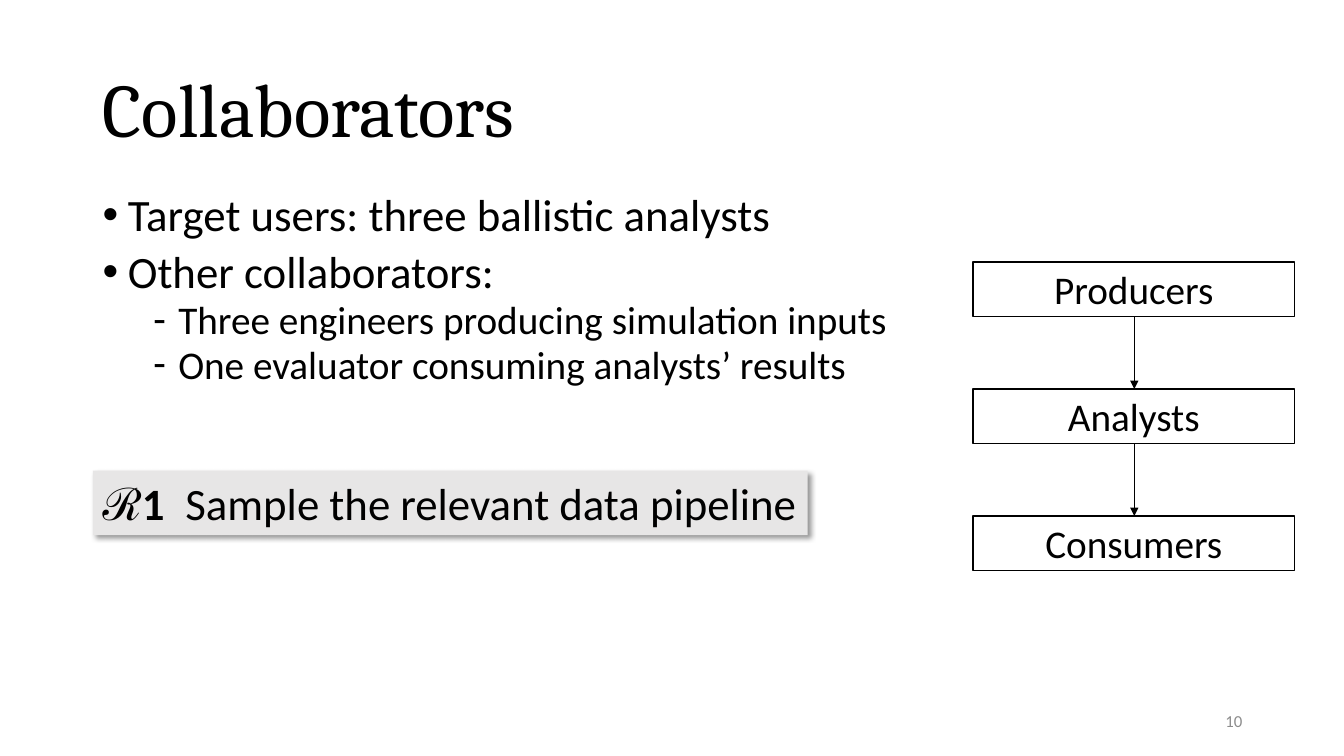
from lxml import etree
from pptx import Presentation
from pptx import util as u
from pptx.dml.color import RGBColor
from pptx.enum import shapes, text
from pptx.oxml import ns

BLACK = RGBColor(0x00, 0x00, 0x00)
WHITE = RGBColor(0xFF, 0xFF, 0xFF)
GRAY = RGBColor(0x8C, 0x8C, 0x8C)
PANEL = RGBColor(0xE7, 0xE6, 0xE6)
LEFT, RIGHT, MIDDLE = text.PP_ALIGN.LEFT, text.PP_ALIGN.RIGHT, text.MSO_ANCHOR.MIDDLE


def px(n):
    """Convert px, at 100 to the inch, to EMU."""
    return u.Emu(n * 9144)


def add_xml(parent, tag, **attrs):
    """Append a drawing element and return it."""
    return etree.SubElement(parent, ns.qn(tag), attrs)


def set_font(p, size, color=BLACK, name="Calibri"):
    """Set the font of a whole paragraph."""
    p.font.size, p.font.name, p.font.color.rgb = u.Pt(size), name, color


def add_text(s, box, anchor):
    """Add a wrapping text box and return its frame."""
    tf = s.shapes.add_textbox(*map(px, box)).text_frame
    tf.word_wrap, tf.vertical_anchor = True, anchor
    return tf


def add_rect(s, box, fill):
    """Add a plain filled rectangle without outline or shadow."""
    sp = s.shapes.add_shape(shapes.MSO_SHAPE.RECTANGLE, *map(px, box))
    sp.shadow.inherit = False
    sp.fill.solid()
    sp.fill.fore_color.rgb = fill
    sp.line.fill.background()
    sp.text_frame.vertical_anchor = MIDDLE
    return sp


def add_title(s, box, title):
    """Add the slide heading."""
    p = add_text(s, box, MIDDLE).paragraphs[0]
    p.text, p.line_spacing = title, 0.9
    set_font(p, 54, name="Cambria")


def add_bullets(s, box, items):
    """Add a two-level list of (level, text) items."""
    tf = add_text(s, box, text.MSO_ANCHOR.TOP)
    for i, (level, line) in enumerate(items):
        p = tf.add_paragraph() if i else tf.paragraphs[0]
        p.text, p.level, p.line_spacing = line, level, 0.8
        p.space_before = u.Pt((10, 5)[level] if i else 0)
        pPr = p._p.get_or_add_pPr()
        pPr.set("marL", str(px((25, 75)[level])))
        pPr.set("indent", str(px(-25)))
        add_xml(pPr, "a:buFont", typeface="Arial")
        add_xml(pPr, "a:buChar", char="•‐"[level])
        set_font(p, (32, 28)[level])


def add_requirement(s, box, label, wording):
    """Add the shaded requirement panel with its soft shadow."""
    sp = add_rect(s, box, PANEL)
    shadow = add_xml(sp._element.spPr.find(ns.qn("a:effectLst")), "a:outerShdw",
                     blurRad=str(u.Pt(4)), dist=str(u.Pt(3)), dir="2700000",
                     algn="tl", rotWithShape="0")
    add_xml(add_xml(shadow, "a:srgbClr", val=str(BLACK)), "a:alpha", val="40000")
    sp.text_frame.word_wrap = False
    p = sp.text_frame.paragraphs[0]
    p.alignment = LEFT
    tabs = add_xml(p._p.get_or_add_pPr(), "a:tabLst")
    add_xml(tabs, "a:tab", pos=str(px(82)), algn="l")
    set_font(p, 32)
    for words, bold in ((label + "\t", True), (wording, False)):
        r = p.add_run()
        r.text, r.font.bold = words, bold


def add_arrow(s, x, top, bottom):
    """Add a thin downward arrow."""
    c = s.shapes.add_connector(shapes.MSO_CONNECTOR.STRAIGHT,
                               px(x), px(top), px(x), px(bottom))
    c.line.color.rgb, c.line.width = BLACK, u.Pt(0.5)
    add_xml(c.line._get_or_add_ln(), "a:tailEnd", type="triangle")
    add_xml(c._element.spPr, "a:effectLst")


def add_flow(s, box, roles):
    """Stack role boxes evenly in the box and join them with arrows."""
    x, y, w, h = box
    role_h = 54
    step = (h - role_h) // (len(roles) - 1)
    for i, role in enumerate(roles):
        top = y + i * step
        sp = add_rect(s, (x, top, w, role_h), WHITE)
        sp.line.color.rgb, sp.line.width = BLACK, u.Pt(1)
        p = sp.text_frame.paragraphs[0]
        p.text, p.alignment = role, text.PP_ALIGN.CENTER
        set_font(p, 28)
        if i:
            add_arrow(s, x + (w + 1) // 2, top - step + role_h, top)


def add_page_number(s, box, number):
    """Add the right-aligned page number."""
    p = add_text(s, box, MIDDLE).paragraphs[0]
    p.text, p.alignment = number, RIGHT
    set_font(p, 12, GRAY)


def main():
    """Build and save the slide."""
    prs = Presentation()
    prs.slide_width, prs.slide_height = px(1333), px(750)
    s = prs.slides.add_slide(prs.slide_layouts[6])
    add_page_number(s, (942, 695, 300, 40), "10")
    add_flow(s, (965, 260, 319, 306), ("Producers", "Analysts", "Consumers"))
    add_bullets(s, (92, 191, 813, 217), (
        (0, "Target users: three ballistic analysts"),
        (0, "Other collaborators:"),
        (1, "Three engineers producing simulation inputs"),
        (1, "One evaluator consuming analysts’ results"),
    ))
    add_title(s, (92, 40, 1150, 145), "Collaborators")
    add_requirement(s, (92, 467, 709, 64), "ℛ1", "Sample the relevant data pipeline")
    prs.save("out.pptx")


if __name__ == "__main__":
    main()
